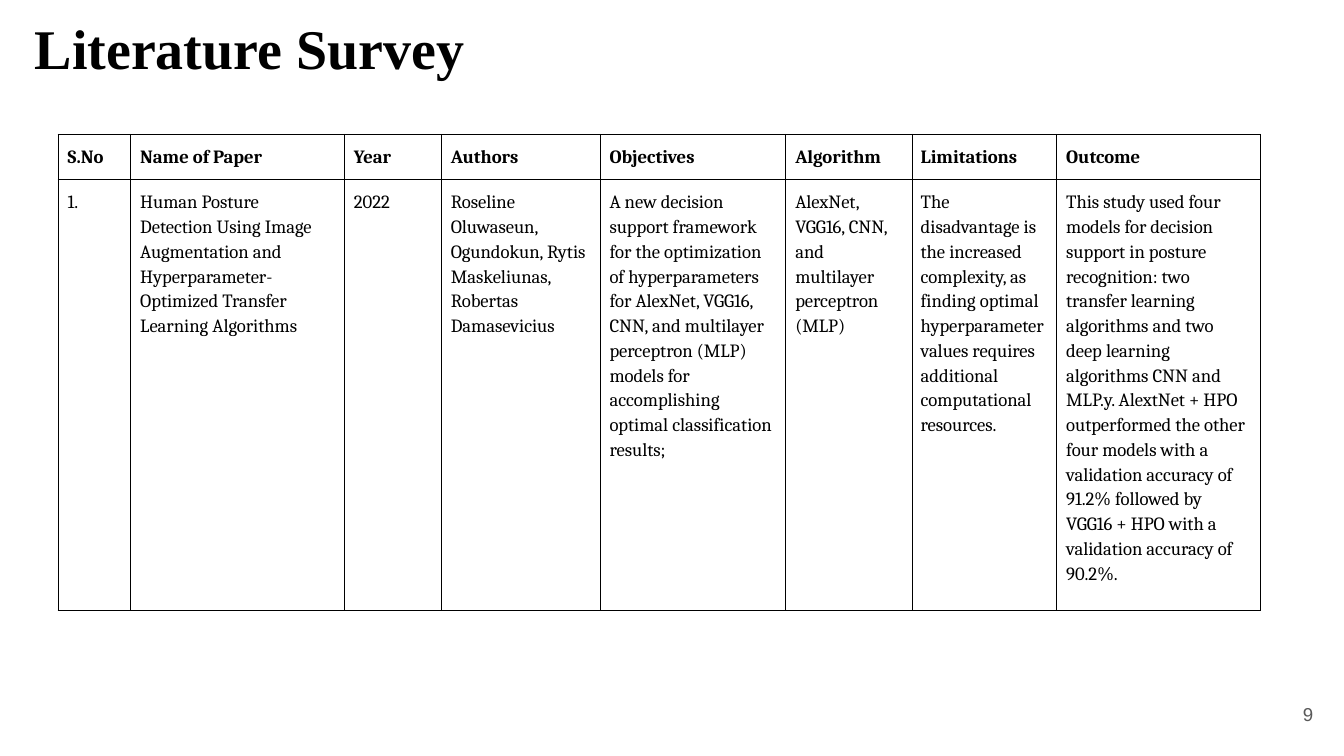
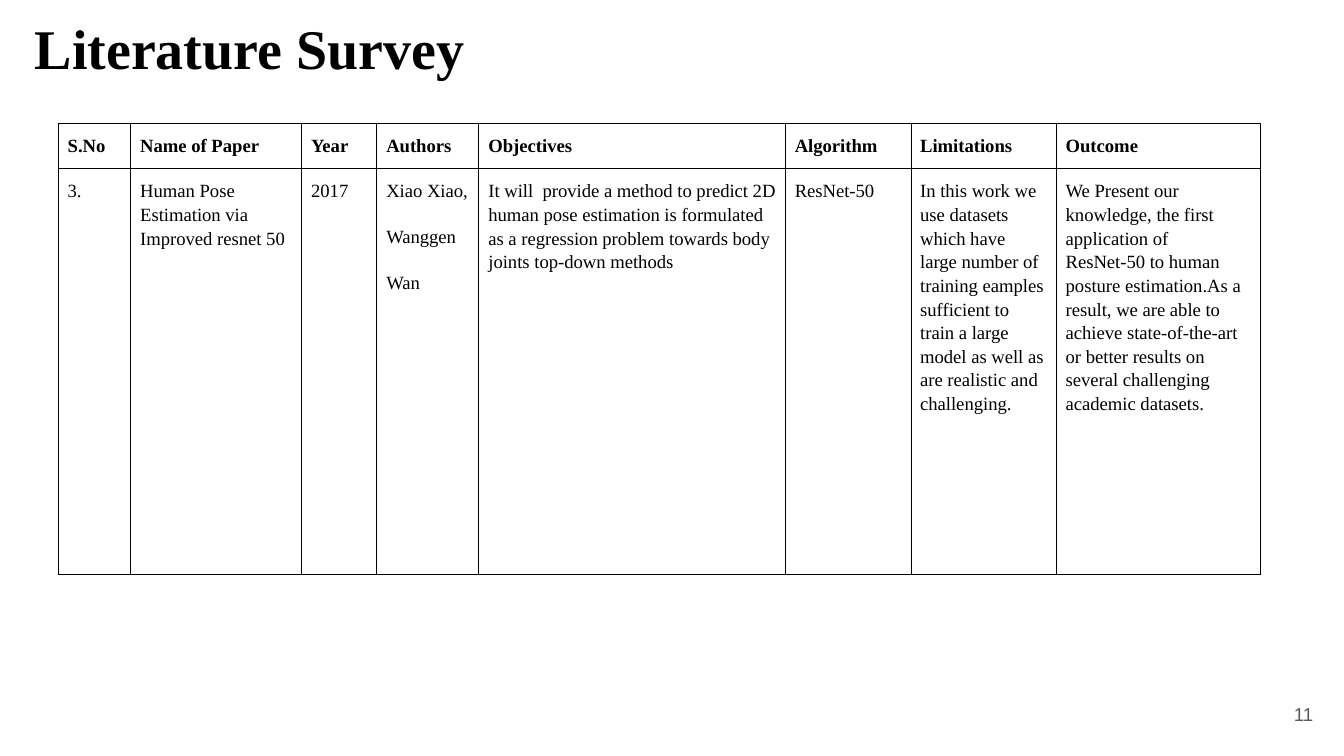
from lxml.etree import SubElement
from pptx import Presentation
from pptx.dml.color import RGBColor
from pptx.enum.text import MSO_ANCHOR, MSO_AUTO_SIZE, PP_ALIGN
from pptx.oxml import parse_xml
from pptx.oxml.ns import nsdecls, qn
from pptx.util import Cm, Pt

HEADERS = ["S.No", "Name of Paper", "Year", "Authors", "Objectives",
           "Algorithm", "Limitations", "Outcome"]

SURVEYS = [
    {
        "number": "9",
        "font": "Cambria",
        "top": 2.54,
        "height": 8.97,
        "columns": [1.37, 4.04, 1.83, 3.0, 3.51, 2.39, 2.73, 3.86],
        "rows": [0.71, 4.34],
        "paper": [
            "1.",
            "Human Posture Detection Using Image Augmentation and "
            "Hyperparameter-Optimized Transfer Learning Algorithms",
            "2022",
            "Roseline Oluwaseun, Ogundokun, Rytis Maskeliunas, "
            "Robertas Damasevicius",
            "A new decision support framework for the optimization of "
            "hyperparameters for AlexNet, VGG16, CNN, and multilayer "
            "perceptron (MLP) models for accomplishing optimal "
            "classification results;",
            "AlexNet, VGG16, CNN, and multilayer perceptron (MLP)",
            "The disadvantage is the increased complexity, as finding "
            "optimal hyperparameter values requires additional "
            "computational resources.",
            "This study used four models for decision support in posture "
            "recognition: two transfer learning algorithms and two deep "
            "learning algorithms CNN and MLP.y. AlextNet + HPO outperformed "
            "the other four models with a validation accuracy of 91.2% "
            "followed by VGG16 + HPO with a validation accuracy of 90.2%.",
        ],
    },
    {
        "number": "11",
        "font": "Times New Roman",
        "top": 2.34,
        "height": 8.51,
        "columns": [1.37, 3.23, 1.42, 1.93, 5.79, 2.39, 2.73, 3.86],
        "rows": [0.71, 7.67],
        "paper": [
            "3.",
            "Human Pose Estimation via Improved resnet 50",
            "2017",
            "Xiao Xiao,\nWanggen\nWan",
            "It will  provide a method to predict 2D human pose estimation "
            "is formulated as a regression problem towards body joints "
            "top-down methods",
            "ResNet-50",
            "In this work we use datasets which have large number of "
            "training eamples sufficient to train a large model as well as "
            "are realistic and challenging.",
            "We Present our knowledge, the first application of ResNet-50 "
            "to human posture estimation.As a result, we are able to "
            "achieve state-of-the-art or better results on several "
            "challenging academic datasets.",
        ],
    },
]


def color(value):
    return RGBColor.from_string(value)


def apply(target, values):
    for name, value in values.items():
        setattr(target, name, value)


class SurveyDeck:
    INK, GRAY, PAPER = "000000", "595959", "FFFFFF"
    FRAME = dict.fromkeys(
        ["margin_left", "margin_top", "margin_right", "margin_bottom"], Cm(0.25))
    CELL = dict.fromkeys(FRAME, Cm(0.18))
    CELL_TEXT = {"line_spacing": 1.15, "space_before": Pt(12)}

    def __init__(self):
        self.deck = Presentation()
        apply(self.deck, {"slide_width": Cm(25.4), "slide_height": Cm(14.29)})
        self.page = None

    def add_page(self):
        self.page = self.deck.slides.add_slide(self.deck.slide_layouts[5])
        fill = self.page.background.fill
        fill.solid()
        fill.fore_color.rgb = color(self.PAPER)

    def add_span(self, para, text, ink, **font):
        span = para.add_run()
        span.text = text
        apply(span.font, font)
        span.font.color.rgb = color(ink)

    def title(self, text):
        box = self.page.shapes.title
        apply(box, {"left": Cm(0.41), "top": Cm(0),
                    "width": Cm(24.56), "height": Cm(1.8)})
        frame = box.text_frame
        apply(frame, {**self.FRAME, "word_wrap": True,
                      "vertical_anchor": MSO_ANCHOR.TOP,
                      "auto_size": MSO_AUTO_SIZE.SHAPE_TO_FIT_TEXT})
        para = frame.paragraphs[0]
        para.alignment = PP_ALIGN.LEFT
        self.add_span(para, text, self.INK, name="Times New Roman",
                      size=Pt(30), bold=True)

    def page_number(self, text):
        box = self.page.shapes.add_textbox(
            Cm(23.55), Cm(12.95), Cm(1.52), Cm(1.09))
        apply(box.text_frame, {**self.FRAME, "word_wrap": True,
                               "vertical_anchor": MSO_ANCHOR.MIDDLE})
        para = box.text_frame.paragraphs[0]
        para.alignment = PP_ALIGN.RIGHT
        self.add_span(para, text, self.GRAY, name="Arial", size=Pt(10))

    def border(self, cell):
        properties = cell._tc.get_or_add_tcPr()
        for index, side in enumerate(["lnL", "lnR", "lnT", "lnB"]):
            line = parse_xml(f'<a:{side} {nsdecls("a")} w="{Pt(0.6)}"/>')
            fill = SubElement(line, qn("a:solidFill"))
            SubElement(fill, qn("a:srgbClr"), val=self.INK)
            properties.insert(index, line)

    def cell(self, cell, text, font, bold):
        apply(cell, self.CELL)
        cell.fill.background()
        self.border(cell)
        lines = text.split("\n")
        for index, line in enumerate(lines):
            frame = cell.text_frame
            para = frame.add_paragraph() if index else frame.paragraphs[0]
            last = index == len(lines) - 1
            apply(para, {**self.CELL_TEXT, "space_after": Pt(12 if last else 0)})
            self.add_span(para, line, self.INK, name=font, size=Pt(10), bold=bold)

    def table(self, content, columns, rows, top, height, font):
        frame = self.page.shapes.add_table(
            len(rows), len(columns), Cm(1.1), Cm(top), Cm(sum(columns)), Cm(height))
        table = frame.table
        apply(table, {"first_row": False, "horz_banding": False})
        for column, width in zip(table.columns, columns):
            column.width = Cm(width)
        for row, row_height in zip(table.rows, rows):
            row.height = Cm(row_height)
        frame.height = Cm(height)
        for row_index, texts in enumerate(content):
            for column_index, text in enumerate(texts):
                self.cell(table.cell(row_index, column_index), text, font,
                          bold=row_index == 0)
            # The Limitations column sits slightly closer to its left border
            limitations = table.cell(row_index, HEADERS.index("Limitations"))
            limitations.margin_left = Cm(0.16)


def main():
    survey_deck = SurveyDeck()
    # One page per surveyed paper
    for survey in SURVEYS:
        survey_deck.add_page()
        survey_deck.title("Literature Survey")
        survey_deck.page_number(survey["number"])
        survey_deck.table([HEADERS, survey["paper"]], survey["columns"],
                          survey["rows"], survey["top"], survey["height"],
                          survey["font"])
    survey_deck.deck.save("out.pptx")


if __name__ == "__main__":
    main()
